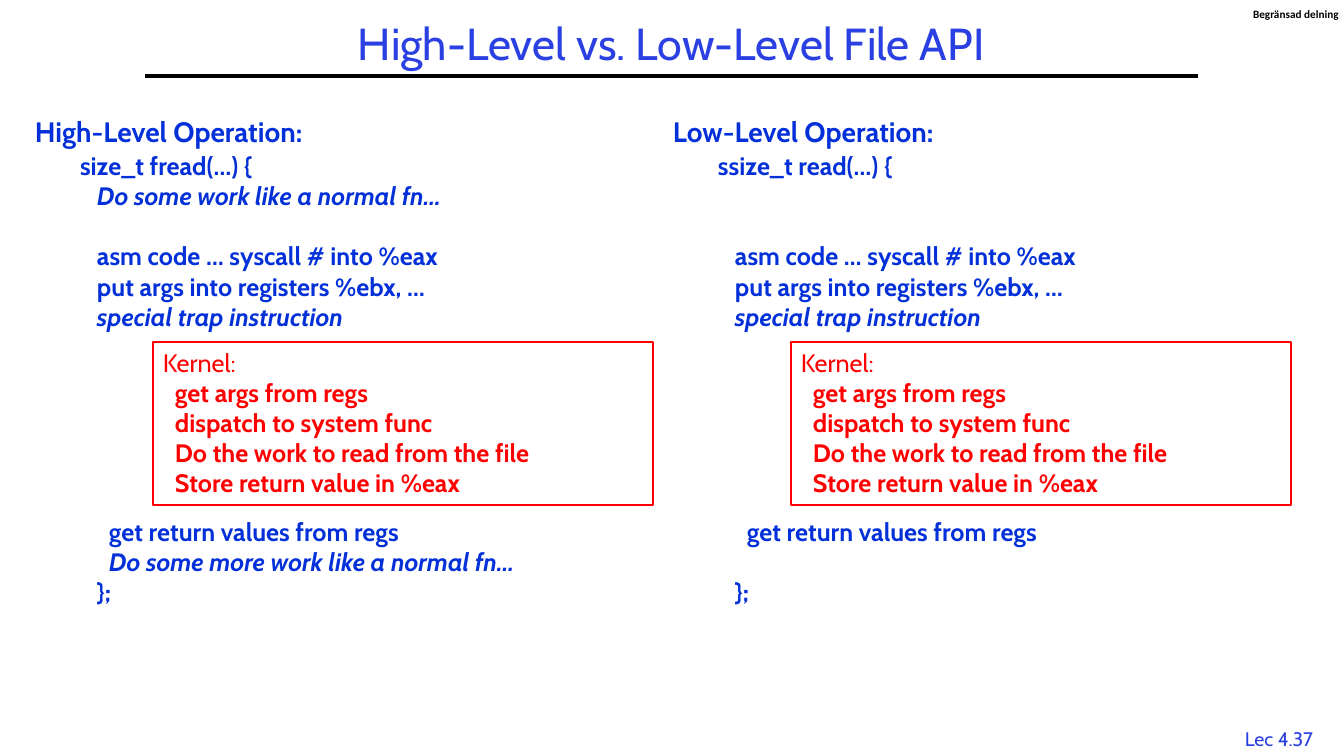
from pptx import Presentation
from pptx.dml.color import RGBColor
from pptx.enum.shapes import MSO_CONNECTOR as CONNECTOR, MSO_SHAPE as SHAPE
from pptx.enum.text import MSO_ANCHOR as ANCHOR, MSO_AUTO_SIZE as AUTO_SIZE, PP_ALIGN as ALIGN
from pptx.oxml.ns import qn
from pptx.util import Pt
from lxml import etree

PX = 914400 / 100.8
TITLE_BLUE = RGBColor(0x2A, 0x40, 0xE2)
CODE_BLUE = RGBColor(0x03, 0x30, 0xD8)
KERNEL_RED = RGBColor(0xFF, 0x00, 0x00)
BLACK = RGBColor(0x00, 0x00, 0x00)
LINE_HEIGHT = 21.6
COLUMN_STEP = 638


def px(*lengths):
    return [round(length * PX) for length in lengths]


def write(shape, lines, size, color, bold=False, font="Cabin", align=ALIGN.LEFT,
          anchor=ANCHOR.TOP, margins=(10, 5)):
    frame = shape.text_frame
    frame.word_wrap = True
    frame.auto_size = AUTO_SIZE.NONE
    frame.vertical_anchor = anchor
    frame.margin_left = frame.margin_right = px(margins[0])[0]
    frame.margin_top = frame.margin_bottom = px(margins[1])[0]
    for number, (text, italic, indent, skipped_lines) in enumerate(lines):
        paragraph = frame.add_paragraph() if number else frame.paragraphs[0]
        paragraph.alignment = align
        if indent:
            properties = paragraph._p.get_or_add_pPr()
            properties.set("marL", str(px(indent)[0]))
            properties.set("indent", "0")
        if skipped_lines:
            paragraph.space_before = Pt(skipped_lines * LINE_HEIGHT)
        run = paragraph.add_run()
        run.text = text
        run.font.name = font
        run.font.size = Pt(size)
        run.font.bold = bold
        run.font.italic = italic
        run.font.color.rgb = color


presentation = Presentation()
presentation.slide_width, presentation.slide_height = px(1344, 756)
slide = presentation.slides.add_slide(presentation.slide_layouts[5])
shapes = slide.shapes

title = shapes.title
title.left, title.top, title.width, title.height = px(145, 17, 1053, 59)
write(title, [("High-Level vs. Low-Level File API", False, 0, 0)], 32, TITLE_BLUE,
      align=ALIGN.CENTER, anchor=ANCHOR.MIDDLE)
title.text_frame.paragraphs[0].line_spacing = 0.9

title_rule = shapes.add_connector(CONNECTOR.STRAIGHT, *px(145, 76, 1198, 76))
title_rule.line.color.rgb = BLACK
title_rule.line.width = Pt(3)
etree.SubElement(title_rule._element.spPr, qn("a:effectLst"))

page_label = shapes.add_textbox(*px(1230, 722, 98, 33))
write(page_label, [("Lec 4.37", False, 0, 0)], 14, TITLE_BLUE, align=ALIGN.CENTER)
sharing_label = shapes.add_textbox(*px(1253, 7, 88, 13))
write(sharing_label, [("Begränsad delning", False, 0, 0)], 8, BLACK, bold=True,
      font="Calibri", margins=(0, 0))

kernel_steps = [
    ("get args from regs", False, 12, 0),
    ("dispatch to system func", False, 12, 0),
    ("Do the work to read from the file", False, 12, 0),
    ("Store return value in %eax", False, 12, 0),
]
registers = [
    ("put args into registers %ebx, …", False, 17, 0),
    ("special trap instruction", True, 17, 0),
]
system_call = "asm code … syscall # into %eax"
return_values = ("get return values from regs", False, 12, 0)

columns = [
    (
        "High-Level Operation:",
        [
            ("size_t fread(…) {", False, 0, 0),
            ("Do some work like a normal fn…", True, 17, 0),
            (system_call, False, 17, 1),
        ],
        [
            return_values,
            ("Do some more work like a normal fn…", True, 12, 0),
            ("};", False, 0, 0),
        ],
    ),
    (
        "Low-Level Operation:",
        [
            ("ssize_t read(…) {", False, 0, 0),
            (system_call, False, 17, 2),
        ],
        [
            return_values,
            ("};", False, 0, 1),
        ],
    ),
]

for column, (heading, opening, closing) in enumerate(columns):
    left = column * COLUMN_STEP
    heading_box = shapes.add_textbox(*px(left + 25, 109, 315, 44))
    write(heading_box, [(heading, False, 0, 0)], 20, CODE_BLUE, bold=True)

    opening_box = shapes.add_textbox(*px(left + 70, 145, 578, 194))
    write(opening_box, opening + registers, 18, CODE_BLUE, bold=True)

    closing_box = shapes.add_textbox(*px(left + 87, 511, 559, 102))
    write(closing_box, closing, 18, CODE_BLUE, bold=True)

    kernel_box = shapes.add_shape(SHAPE.RECTANGLE, *px(left + 153, 342, 500, 163))
    kernel_box.shadow.inherit = False
    kernel_box.fill.background()
    kernel_box.line.color.rgb = KERNEL_RED
    kernel_box.line.width = Pt(1)
    write(kernel_box, [("Kernel:", False, 0, 0)], 18, KERNEL_RED)

    steps_box = shapes.add_textbox(*px(left + 153, 372, 510, 132))
    write(steps_box, kernel_steps, 18, KERNEL_RED, bold=True)

presentation.save("out.pptx")
